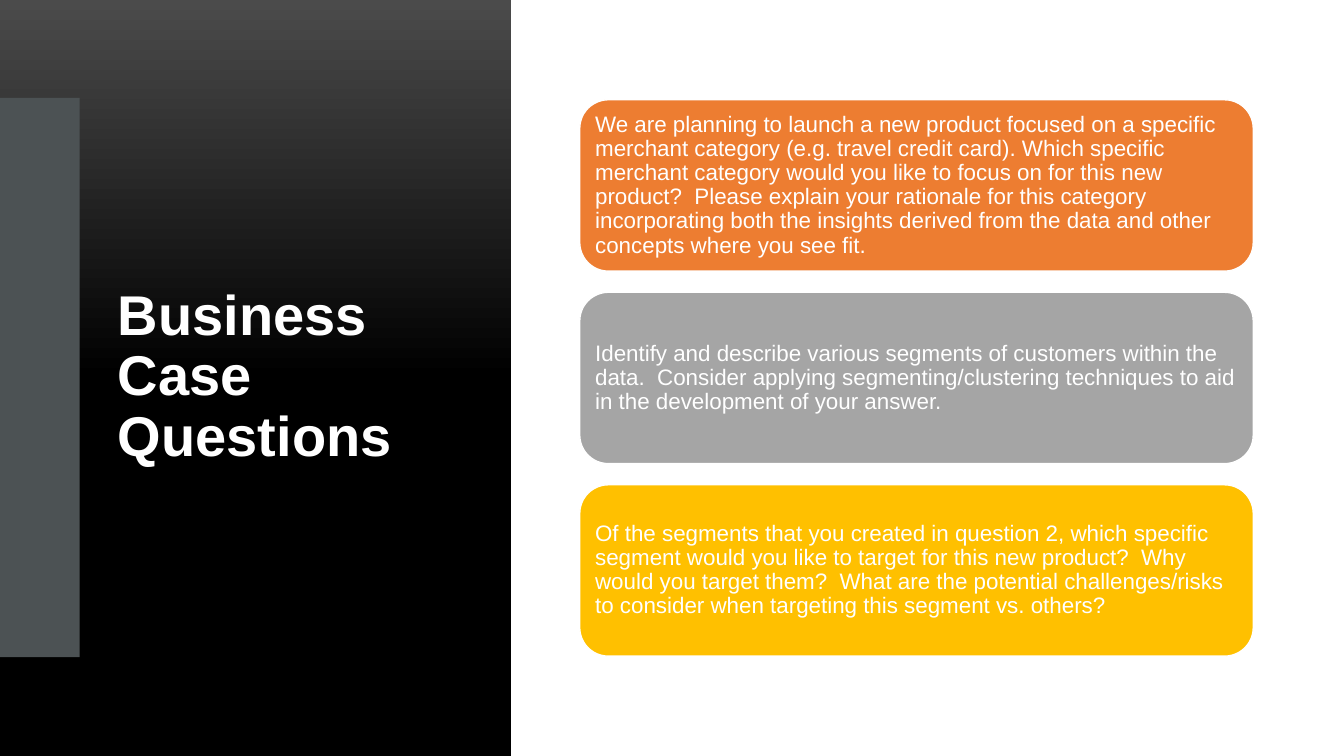
from pptx import Presentation
from pptx.dml.color import RGBColor
from pptx.enum.shapes import MSO_SHAPE as Shape
from pptx.enum.text import MSO_ANCHOR as Anchor, MSO_AUTO_SIZE as AutoSize, PP_ALIGN as Align
from pptx.util import Pt

PX = 9144
FONT = "Arial"
WHITE = RGBColor(0xFF, 0xFF, 0xFF)
BLACK = RGBColor(0x00, 0x00, 0x00)
CHARCOAL = RGBColor(0x4B, 0x4B, 0x4B)
SLATE = RGBColor(0x4C, 0x52, 0x54)
ORANGE = RGBColor(0xED, 0x7D, 0x31)
GRAY = RGBColor(0xA5, 0xA5, 0xA5)
GOLD = RGBColor(0xFF, 0xC0, 0x00)

QUESTIONS = [
    (ORANGE, "We are planning to launch a new product focused on a specific merchant category "
             "(e.g. travel credit card). Which specific merchant category would you like to focus on "
             "for this new product?  Please explain your rationale for this category incorporating "
             "both the insights derived from the data and other concepts where you see fit."),
    (GRAY, "Identify and describe various segments of customers within the data.  Consider applying "
           "segmenting/clustering techniques to aid in the development of your answer."),
    (GOLD, "Of the segments that you created in question 2, which specific segment would you like to "
           "target for this new product?  Why would you target them?  What are the potential "
           "challenges/risks to consider when targeting this segment vs. others?"),
]


def add_block(slide, kind, left, top, width, height):
    """Add a preset shape without shadow or outline, placed in px."""
    shape = slide.shapes.add_shape(kind, left * PX, top * PX, width * PX, height * PX)
    shape.shadow.inherit = False
    shape.line.fill.background()
    return shape


def write_text(shape, text, size, bold=False):
    """Write one white, left-aligned, vertically centred paragraph."""
    frame = shape.text_frame
    frame.text = text
    frame.word_wrap = True
    frame.auto_size = AutoSize.NONE
    frame.vertical_anchor = Anchor.MIDDLE
    paragraph = frame.paragraphs[0]
    paragraph.alignment = Align.LEFT
    paragraph.line_spacing = 0.9
    font = paragraph.font
    font.name, font.size, font.bold = FONT, Pt(size), bold
    font.color.rgb = WHITE


def add_title_panel(slide, left, top, width, height):
    """Build the dark gradient panel with its side bar and the slide title."""
    panel = add_block(slide, Shape.RECTANGLE, left, top, width, height)
    panel.fill.gradient()
    panel.fill.gradient_angle = 270
    for stop, color, position in zip(panel.fill.gradient_stops, (CHARCOAL, BLACK), (0, 0.5)):
        stop.color.rgb = color
        stop.position = position

    title = slide.shapes.title
    title.left, title.top = (left + 107) * PX, (top + 97) * PX
    title.width, title.height = 343 * PX, 555 * PX
    write_text(title, "Business Case Questions", 40, bold=True)
    panel._element.addnext(title._element)

    bar = add_block(slide, Shape.RECTANGLE, left, top + 97, 79, 555)
    bar.fill.solid()
    bar.fill.fore_color.rgb = SLATE


def add_questions(slide, left, top, width, height, gap):
    """Stack the question cards in equal heights inside the box."""
    card_height = (height - gap * (len(QUESTIONS) - 1)) // len(QUESTIONS)
    for index, (color, text) in enumerate(QUESTIONS):
        card_top = top + index * (card_height + gap)
        card = add_block(slide, Shape.ROUNDED_RECTANGLE, left, card_top, width, card_height)
        card.fill.solid()
        card.fill.fore_color.rgb = color
        card.line.color.rgb = WHITE
        card.line.width = Pt(1)
        frame = card.text_frame
        frame.margin_left = frame.margin_right = frame.margin_top = frame.margin_bottom = 7 * PX
        write_text(card, text, 16)


def main():
    """Build and save the one-slide presentation."""
    presentation = Presentation()
    presentation.slide_width, presentation.slide_height = 1333 * PX, 750 * PX
    slide = presentation.slides.add_slide(presentation.slide_layouts[5])
    add_title_panel(slide, 0, 0, 507, 750)
    add_questions(slide, 575, 99, 668, 552, 21)
    presentation.save("out.pptx")


if __name__ == "__main__":
    main()
